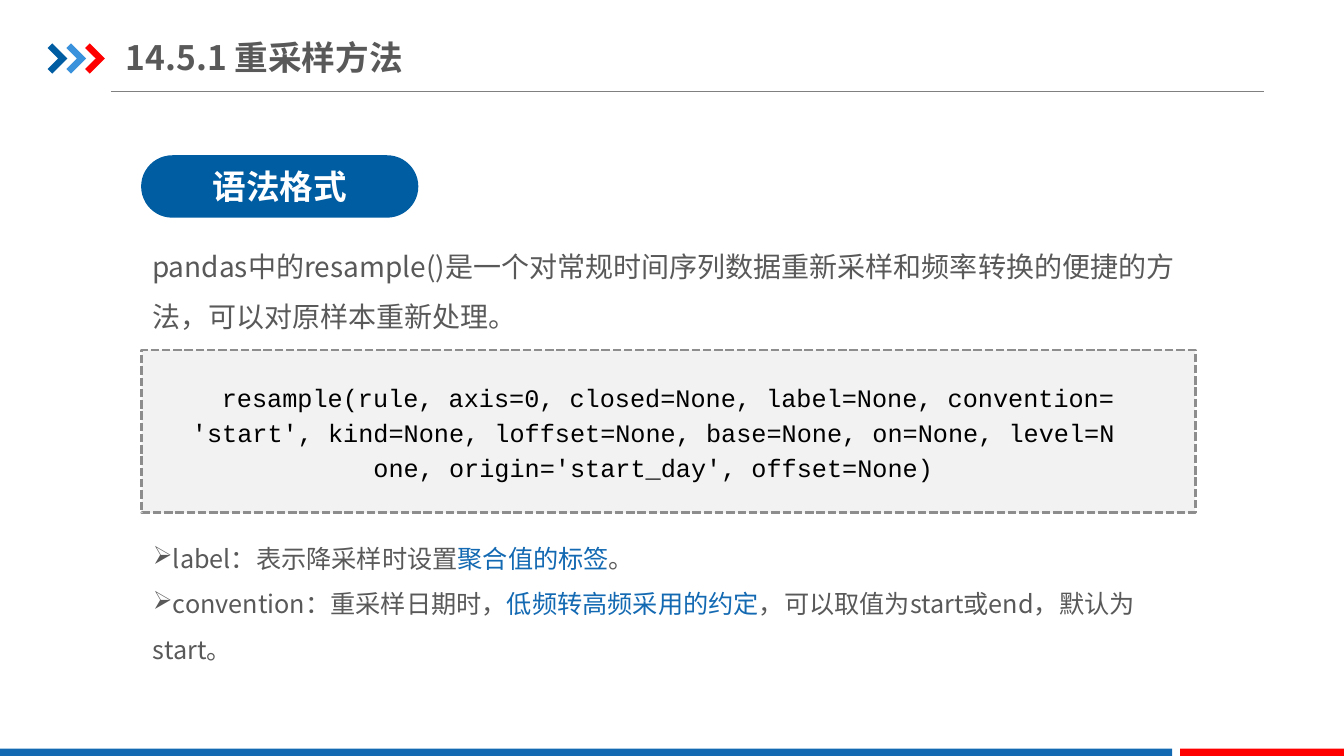
from lxml.etree import SubElement
from pptx import Presentation
from pptx.dml.color import RGBColor
from pptx.enum.dml import MSO_LINE
from pptx.enum.shapes import MSO_CONNECTOR, MSO_SHAPE
from pptx.enum.text import MSO_ANCHOR, MSO_AUTO_SIZE, PP_ALIGN
from pptx.oxml.ns import qn
from pptx.util import Pt

SANS, MONO = "Noto Sans CJK SC", "Courier New"
NAVY, BLUE, RED, GRAY = "005DA2", "1369B2", "FF0000", "595959"


def paint(shape, fill, line=None):
    """Give a shape a flat fill, an optional outline colour and no shadow."""
    shape.shadow.inherit = False
    shape.fill.solid()
    shape.fill.fore_color.rgb = RGBColor.from_string(fill)
    if line:
        shape.line.color.rgb = RGBColor.from_string(line)
    else:
        shape.line.fill.background()


def write(paragraph, runs, size, name=SANS, bold=False, **layout):
    """Add (text, colour) runs to a paragraph and set its layout values."""
    for key, value in layout.items():
        setattr(paragraph, key, value)
    for text, color in runs:
        run = paragraph.add_run()
        run.text = text
        for key, value in {"size": Pt(size), "name": name, "bold": bold}.items():
            setattr(run.font, key, value)
        run.font.color.rgb = RGBColor.from_string(color)
        SubElement(run.font._element, qn("a:ea"), typeface=name)


presentation = Presentation()
presentation.slide_width, presentation.slide_height = Pt(960), Pt(540)
slide = presentation.slides.add_slide(presentation.slide_layouts[6])
shapes = slide.shapes

# Header rule and chevrons
rule = shapes.add_connector(MSO_CONNECTOR.STRAIGHT, Pt(79.2), Pt(65.4), Pt(903), Pt(65.4))
rule.line.color.rgb = RGBColor.from_string("808080")
rule.line.width = Pt(0.75)
SubElement(rule._element.spPr, qn("a:effectLst"))

chevron = [(0, 3.3), (3.3, 0), (14.2, 10.8), (3.3, 21.6), (0, 18.3), (7.6, 10.8)]
for index, color in enumerate((NAVY, "3992DB", RED)):
    points = [(Pt(34 + 13.4 * index + x), Pt(31 + y)) for x, y in chevron]
    builder = shapes.build_freeform(*points[0])
    builder.add_line_segments(points[1:], close=True)
    paint(builder.convert_to_shape(), color)

# Footer bars
for left, width, color in ((0, 837.3, BLUE), (843, 117, RED)):
    bar = shapes.add_shape(MSO_SHAPE.RECTANGLE, Pt(left), Pt(534.7), Pt(width), Pt(6.3))
    paint(bar, color)

# Title
title = shapes.add_textbox(Pt(90), Pt(20.9), Pt(327.6), Pt(39.6)).text_frame
margins = {"margin_left": 0, "margin_right": 0, "margin_top": Pt(5), "margin_bottom": Pt(5)}
for key, value in {**margins, "word_wrap": True, "vertical_anchor": MSO_ANCHOR.MIDDLE}.items():
    setattr(title, key, value)
write(title.paragraphs[0], [("14.5.1 重采样方法", GRAY)], 24, bold=True)

# Section label
label = shapes.add_shape(MSO_SHAPE.ROUNDED_RECTANGLE, Pt(100.8), Pt(110.9), Pt(198), Pt(44.6))
label.adjustments[0] = 0.5
paint(label, NAVY)
label.text_frame.vertical_anchor = MSO_ANCHOR.MIDDLE
write(label.text_frame.paragraphs[0], [("语法格式", "FFFFFF")], 24, bold=True,
      alignment=PP_ALIGN.CENTER)

# Code panel
panel = shapes.add_shape(MSO_SHAPE.RECTANGLE, Pt(101.2), Pt(250), Pt(752.6), Pt(116.4))
paint(panel, "F2F2F2", "8D8D8D")
panel.line.width = Pt(2)
panel.line.dash_style = MSO_LINE.SQUARE_DOT

# Body text
frames = []
for left, top, width, height in (
    (101.5, 162.7, 752.4, 80),
    (128.2, 266.4, 676.8, 81.4),
    (102.2, 373.7, 751.7, 105),
):
    frame = shapes.add_textbox(Pt(left), Pt(top), Pt(width), Pt(height)).text_frame
    frame.word_wrap = True
    frame.auto_size = MSO_AUTO_SIZE.SHAPE_TO_FIT_TEXT
    frames.append(frame)
intro, code, notes = frames

write(intro.paragraphs[0],
      [("pandas中的resample()是一个对常规时间序列数据重新采样和频率转换的便捷的方法，可以对原样本重新处理。", GRAY)],
      20, line_spacing=1.5)

signature = (
    "resample(rule, axis=0, closed=None, label=None, convention='start', kind=None, "
    "loffset=None, base=None, on=None, level=None, origin='start_day', offset=None)"
)
no_break_space = chr(160)
write(code.paragraphs[0], [(signature.replace(" ", no_break_space), "000000")], 18, MONO,
      alignment=PP_ALIGN.CENTER, line_spacing=1.15)
code.paragraphs[0]._p.get_or_add_pPr().set("indent", str(Pt(21)))

parameters = [
    ("label：表示降采样时设置", "聚合值的标签", "。"),
    ("convention：重采样日期时，", "低频转高频采用的约定", "，可以取值为start或end，默认为start。"),
]
for index, texts in enumerate(parameters):
    paragraph = notes.add_paragraph() if index else notes.paragraphs[0]
    properties = paragraph._p.get_or_add_pPr()
    properties.set("marL", "0")
    properties.set("indent", str(Pt(-27)))
    SubElement(properties, qn("a:buChar"), char="➢")
    write(paragraph, zip(texts, (GRAY, BLUE, GRAY)), 18, line_spacing=1.5)

presentation.save("out.pptx")
